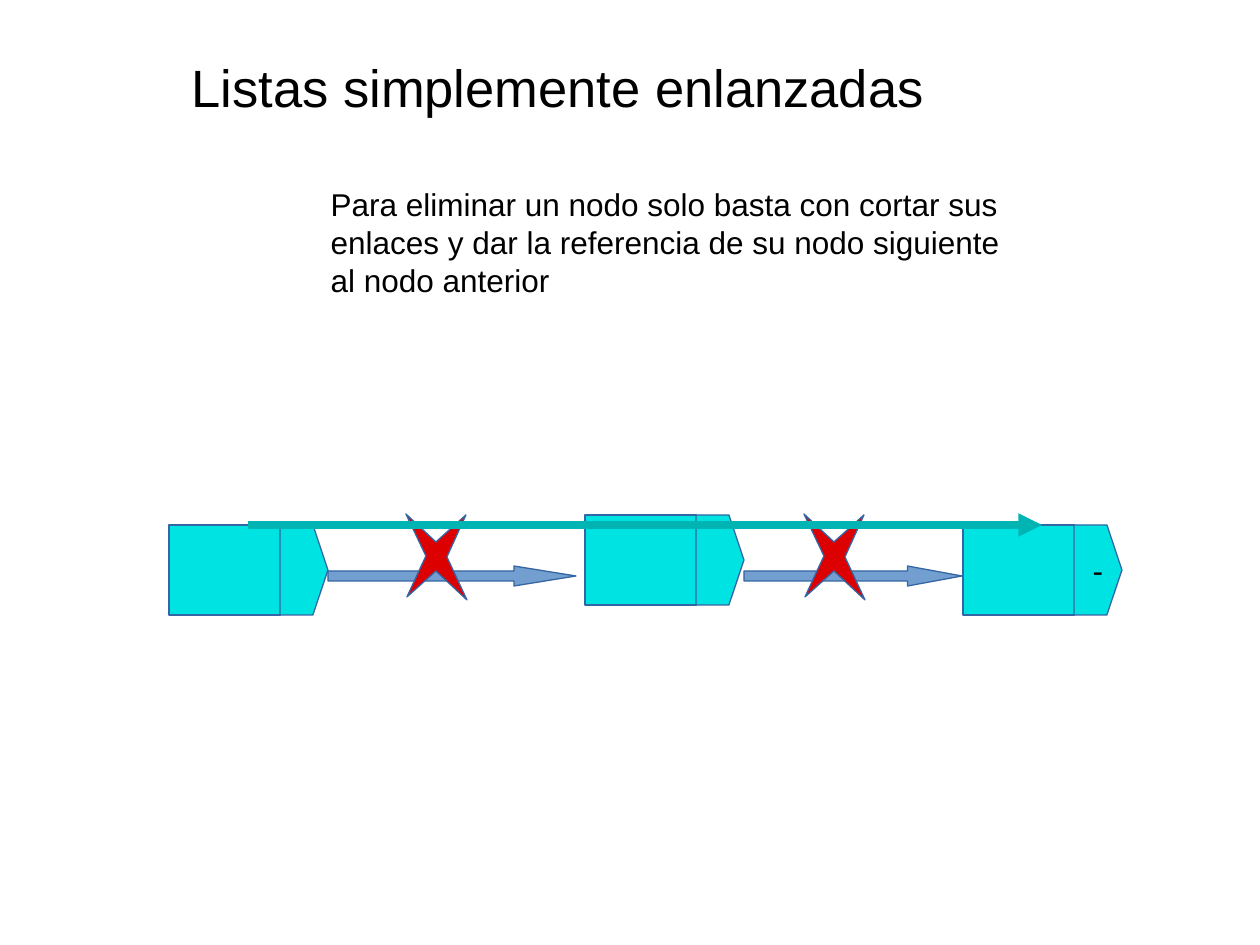
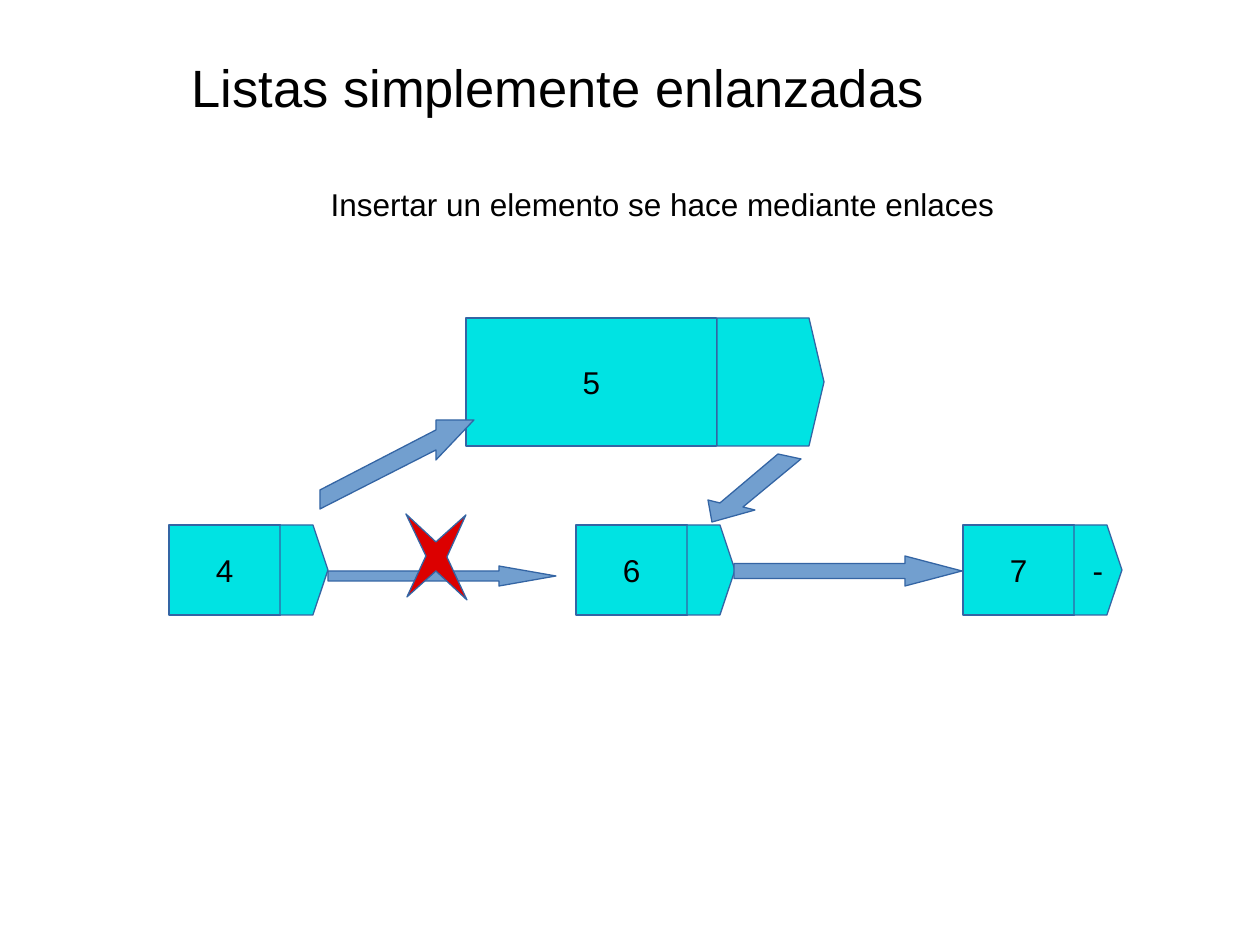
from lxml import etree
from pptx import Presentation
from pptx import util as u
from pptx.dml import color
from pptx.enum import shapes, text
from pptx.oxml import ns

PX = u.Inches(1) / 126
FONT = "Arial"
COLORS = {
    "text": "000000",
    "node": "00E3E3",
    "link": "729FCF",
    "outline": "3465A4",
    "cut": "DC0000",
    "bypass": "00B4B4",
}

TITLE = "Listas simplemente enlanzadas"
TITLE_BOX = (179, 49, 784, 111)
MESSAGE_BOX = (318, 179, 696, 131)
SMALL, LARGE = (159, 90), (358, 128)
DATA_SHARE, NODE_TIP = 0.7, 15
LINK_HEAD_SHARE = 0.25
CUT_OUTLINE = [(0, 0), (30, 28), (60, 1), (41, 43),
               (61, 86), (30, 57), (1, 83), (20, 42)]

SLIDES = [
    {
        "message": "Para eliminar un nodo solo basta con cortar sus enlaces "
                   "y dar la referencia de su nodo siguiente al nodo anterior",
        "nodes": [(585, 515, SMALL, "", ""),
                  (963, 525, SMALL, "", "-"),
                  (169, 525, SMALL, "", "")],
        "links": [(328, 566, 248, 20), (744, 566, 218, 20)],
        "slanted_links": [],
        "cuts": [(406, 514), (804, 514)],
        "bypasses": [(248, 525, 1042, 525)],
    },
    {
        "message": "Insertar un elemento se hace mediante enlaces",
        "nodes": [(466, 318, LARGE, "5", ""),
                  (576, 525, SMALL, "6", ""),
                  (963, 525, SMALL, "7", "-"),
                  (169, 525, SMALL, "4", "")],
        "links": [(328, 566, 228, 20), (734, 556, 228, 30)],
        "slanted_links": [
            [(320, 490), (436, 430), (436, 420), (474, 420),
             (436, 460), (436, 450), (320, 509)],
            [(778, 454), (720, 503), (708, 500), (712, 522),
             (755, 510), (743, 507), (801, 459)],
        ],
        "cuts": [(406, 514)],
        "bypasses": [],
    },
]


def emu(*lengths):
    return [u.Emu(round(length * PX)) for length in lengths]


def rgb(name):
    return color.RGBColor.from_string(COLORS[name])


def write(frame, words, size, align, anchor, wrap):
    frame.word_wrap = wrap
    frame.auto_size = text.MSO_AUTO_SIZE.NONE
    frame.vertical_anchor = anchor
    paragraph = frame.paragraphs[0]
    paragraph.alignment = align
    paragraph.space_before = u.Pt(0)
    run = paragraph.add_run()
    run.text = words
    run.font.name = FONT
    run.font.size = u.Pt(size)
    run.font.color.rgb = rgb("text")


def fill_placeholder(holder, box, words, size):
    holder.left, holder.top, holder.width, holder.height = emu(*box)
    write(holder.text_frame, words, size, text.PP_ALIGN.LEFT,
          text.MSO_ANCHOR.TOP, True)


def paint(part, fill, label=""):
    part.shadow.inherit = False
    part.fill.solid()
    part.fill.fore_color.rgb = rgb(fill)
    part.line.color.rgb = rgb("outline")
    part.line.width = u.Pt(0.75)
    if label:
        write(part.text_frame, label, 18, text.PP_ALIGN.CENTER,
              text.MSO_ANCHOR.MIDDLE, False)


def add_outline(owner, points, fill, label=""):
    builder = owner.build_freeform(*points[0], scale=PX)
    builder.add_line_segments(points[1:], close=True)
    paint(builder.convert_to_shape(), fill, label)


def add_node(slide, x, y, size, value, pointer):
    width, height = size
    split, right, bottom = x + width * DATA_SHARE, x + width, y + height
    node = slide.shapes.add_group_shape().shapes
    data = node.add_shape(shapes.MSO_SHAPE.FLOWCHART_PROCESS,
                          *emu(x, y, split - x, height))
    paint(data, "node", value)
    add_outline(node, [(split, y), (right - NODE_TIP, y),
                       (right, y + height / 2),
                       (right - NODE_TIP, bottom), (split, bottom)],
                "node", pointer)


def add_link(slide, x, y, width, height):
    link = slide.shapes.add_shape(shapes.MSO_SHAPE.RIGHT_ARROW,
                                  *emu(x, y, width, height))
    link.adjustments[0] = 0.5
    link.adjustments[1] = LINK_HEAD_SHARE * width / height
    paint(link, "link")


def add_bypass(slide, ends):
    bypass = slide.shapes.add_connector(shapes.MSO_CONNECTOR.STRAIGHT,
                                        *emu(*ends))
    bypass.line.color.rgb = rgb("bypass")
    bypass.line.width = u.Pt(4.5)
    etree.SubElement(bypass.line._get_or_add_ln(), ns.qn("a:tailEnd"),
                     type="triangle")
    etree.SubElement(bypass._element.spPr, ns.qn("a:effectLst"))


def add_slide(deck, content):
    slide = deck.slides.add_slide(deck.slide_layouts[1])
    fill_placeholder(slide.shapes.title, TITLE_BOX, TITLE, 30)
    message = slide.placeholders[1]
    properties = message.text_frame.paragraphs[0]._p.get_or_add_pPr()
    properties.set("marL", "0")
    properties.set("indent", "0")
    etree.SubElement(properties, ns.qn("a:buNone"))
    fill_placeholder(message, MESSAGE_BOX, content["message"], 18)

    for node in content["nodes"]:
        add_node(slide, *node)
    for link in content["links"]:
        add_link(slide, *link)
    for points in content["slanted_links"]:
        add_outline(slide.shapes, points, "link")
    for x, y in content["cuts"]:
        add_outline(slide.shapes,
                    [(x + dx, y + dy) for dx, dy in CUT_OUTLINE], "cut")
    for ends in content["bypasses"]:
        add_bypass(slide, ends)


def main():
    deck = Presentation()
    deck.slide_width, deck.slide_height = emu(1260, 945)
    for content in SLIDES:
        add_slide(deck, content)
    deck.save("out.pptx")


if __name__ == "__main__":
    main()
